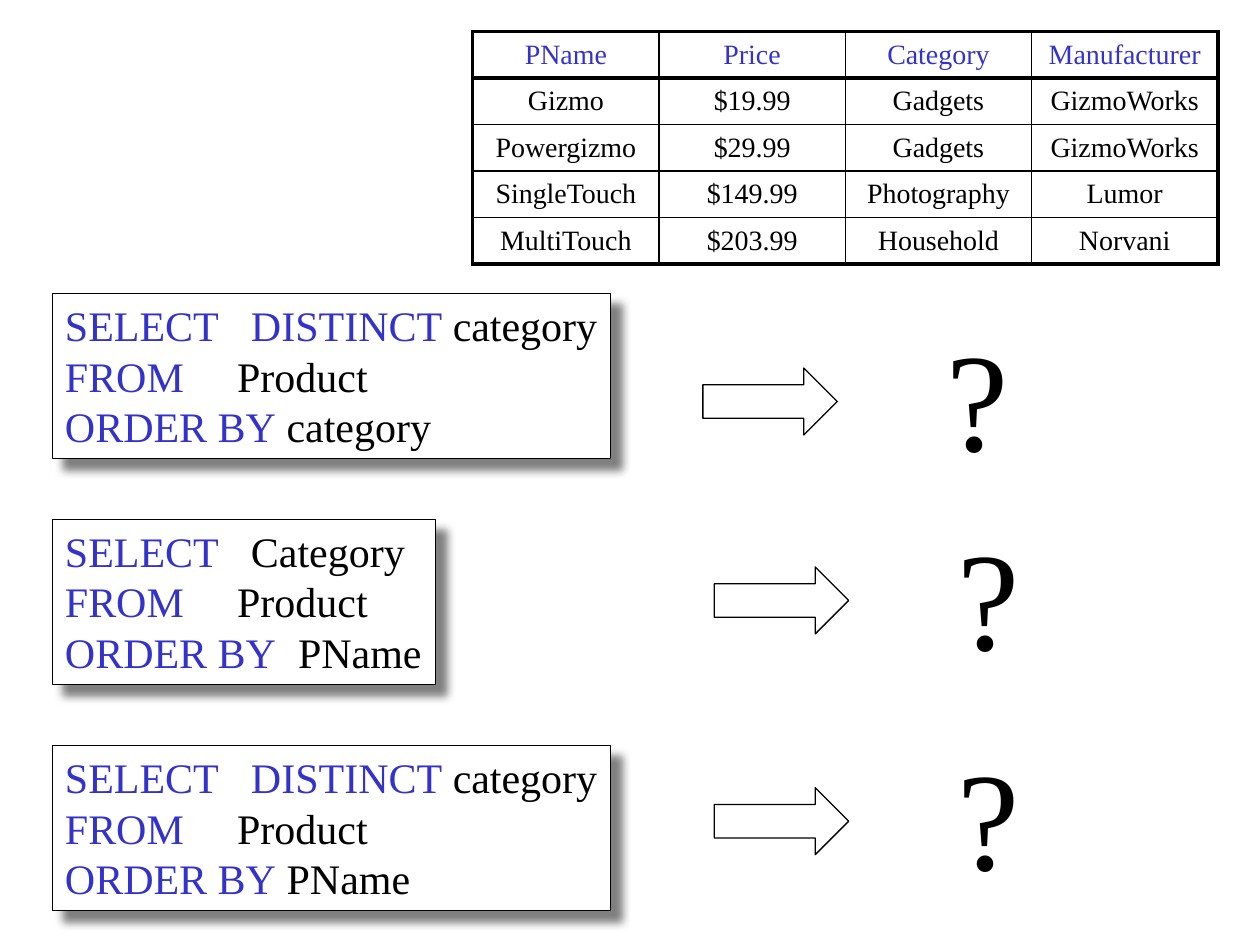
from lxml import etree
from pptx import Presentation
from pptx.dml.color import RGBColor
from pptx.enum.shapes import MSO_SHAPE
from pptx.enum.text import MSO_ANCHOR, PP_ALIGN
from pptx.oxml.ns import qn
from pptx.util import Cm, Pt

RECT, ARROW = MSO_SHAPE.RECTANGLE, MSO_SHAPE.RIGHT_ARROW
TOP, MIDDLE = MSO_ANCHOR.TOP, MSO_ANCHOR.MIDDLE
LEFT, CENTER = PP_ALIGN.LEFT, PP_ALIGN.CENTER

FONT = "Times New Roman"
COLORS = {"ink": "000000", "key": "3333CC", "paper": "FFFFFF", "shade": "808080"}

# Content
GOODS = [
    ("PName", "Price", "Category", "Manufacturer"),
    ("Gizmo", "$19.99", "Gadgets", "GizmoWorks"),
    ("Powergizmo", "$29.99", "Gadgets", "GizmoWorks"),
    ("SingleTouch", "$149.99", "Photography", "Lumor"),
    ("MultiTouch", "$203.99", "Household", "Norvani"),
]
# Each line of a query: keyword, the rest, tab stop in cm
FROM = ("FROM", "\tProduct", 3.47)
QUERIES = [
    {"box": (5.92, 11.25), "arrow": (14.17, 7.42), "mark": (18.84, 6.15),
     "lines": [("SELECT\tDISTINCT", " category", 3.75), FROM,
               ("ORDER BY", " category", None)]},
    {"box": (10.47, 7.72), "arrow": (14.4, 11.43), "mark": (19.05, 10.16),
     "lines": [("SELECT", "\tCategory", 3.75), FROM,
               ("ORDER BY", "\tPName", 4.7)]},
    {"box": (15.03, 11.25), "arrow": (14.4, 15.88), "mark": (19.05, 14.61),
     "lines": [("SELECT\tDISTINCT", " category", 3.75), FROM,
               ("ORDER BY", " PName", None)]},
]


def color(name):
    return RGBColor.from_string(COLORS[name])


def add_run(para, text, size, tone):
    run = para.add_run()
    run.text = text
    run.font.name, run.font.size = FONT, Pt(size)
    run.font.color.rgb = color(tone)


def add_stop(para, pos):
    tabs = etree.SubElement(para._p.get_or_add_pPr(), qn("a:tabLst"))
    etree.SubElement(tabs, qn("a:tab"), pos=str(Cm(pos)), algn="l")


def add_shade(shape):
    effects = shape._element.spPr.find(qn("a:effectLst"))
    outer = etree.SubElement(
        effects, qn("a:outerShdw"), blurRad=str(Pt(5)), dist=str(Pt(8.5)),
        dir="2700000", algn="ctr", rotWithShape="0")
    etree.SubElement(outer, qn("a:srgbClr"), val=COLORS["shade"])


def add_edge(cell, index, side, width):
    line = etree.Element(qn("a:ln" + side), w=str(Pt(width)))
    fill = etree.SubElement(line, qn("a:solidFill"))
    etree.SubElement(fill, qn("a:srgbClr"), val=COLORS["ink"])
    cell._tc.get_or_add_tcPr().insert(index, line)


def add_shape(slide, kind, x, y, w, h):
    shape = slide.shapes.add_shape(kind, Cm(x), Cm(y), Cm(w), Cm(h))
    shape.shadow.inherit = False
    shape.line.color.rgb, shape.line.width = color("ink"), Pt(0.75)
    return shape


def add_goods(slide):
    rows, cols = len(GOODS), len(GOODS[0])
    table = slide.shapes.add_table(
        rows, cols, Cm(9.53), Cm(0.64), Cm(15.02), Cm(4.68)).table
    table.first_row = table.horz_banding = False
    for r, row in enumerate(GOODS):
        for c, text in enumerate(row):
            cell = table.cell(r, c)
            cell.fill.background()
            cell.vertical_anchor = MIDDLE
            para = cell.text_frame.paragraphs[0]
            para.alignment = CENTER
            add_run(para, text, 16, "ink" if r else "key")
            # Thick lines round the table and under its head
            thick = {"L": c == 0, "R": c == cols - 1,
                     "T": r < 2, "B": r in (0, rows - 1)}
            for i, (side, bold) in enumerate(thick.items()):
                add_edge(cell, i, side, 2.25 if bold else 1)


def add_query(slide, query):
    # Box with the code
    top, width = query["box"]
    box = add_shape(slide, RECT, 1.06, top, width, 3.33)
    box.fill.solid()
    box.fill.fore_color.rgb = color("paper")
    add_shade(box)
    frame = box.text_frame
    frame.word_wrap, frame.vertical_anchor = True, TOP
    frame.margin_right = 0
    for i, (key, rest, stop) in enumerate(query["lines"]):
        para = frame.add_paragraph() if i else frame.paragraphs[0]
        para.alignment = LEFT
        if stop:
            add_stop(para, stop)
        add_run(para, key, 24, "key")
        add_run(para, rest, 24, "ink")

    # Arrow and question mark
    arrow = add_shape(slide, ARROW, *query["arrow"], 2.71, 1.35)
    arrow.fill.background()
    x, y = query["mark"]
    mark = slide.shapes.add_textbox(Cm(x), Cm(y), Cm(1.76), Cm(3.63))
    mark.text_frame.word_wrap = True
    add_run(mark.text_frame.paragraphs[0], "?", 80, "ink")


def main():
    deck = Presentation()
    deck.slide_width, deck.slide_height = Cm(25.4), Cm(19.05)
    slide = deck.slides.add_slide(deck.slide_layouts[6])
    add_goods(slide)
    for query in QUERIES:
        add_query(slide, query)
    deck.save("out.pptx")


if __name__ == "__main__":
    main()
